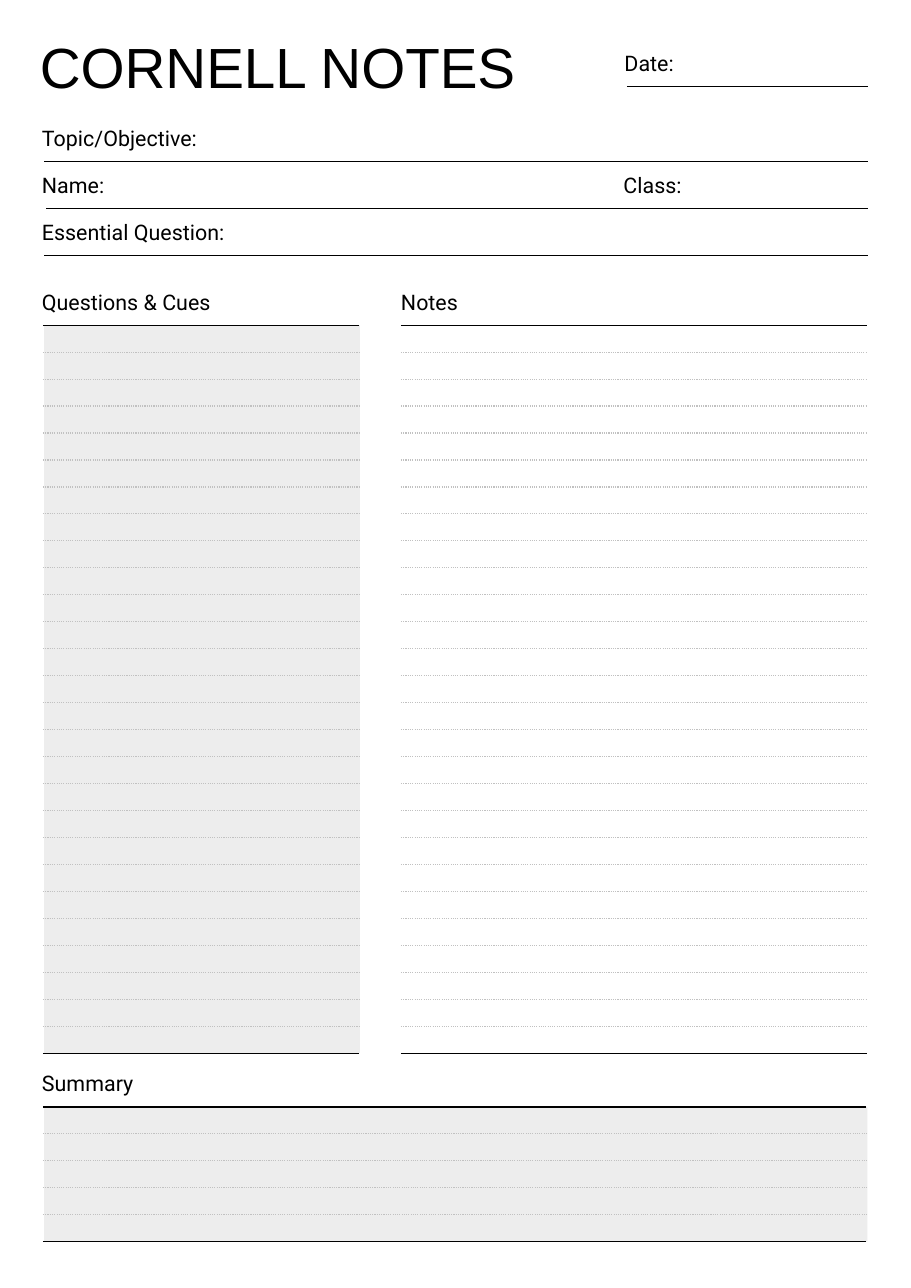
from collections import namedtuple

from lxml.etree import SubElement
from pptx import Presentation
from pptx.dml.color import RGBColor
from pptx.enum.dml import MSO_LINE
from pptx.enum.shapes import MSO_CONNECTOR, MSO_SHAPE
from pptx.enum.text import MSO_AUTO_SIZE
from pptx.oxml.ns import qn
from pptx.util import Pt

BLACK = RGBColor(0x00, 0x00, 0x00)
DOT_GREY = RGBColor(0xC1, 0xC1, 0xC1)
PANEL_GREY = RGBColor(0xED, 0xED, 0xED)

ROW_HEIGHT = 17.62
LABEL_RISE = 23.8
LABEL_HEIGHT = 17.3
FIELD_STEP = 30.6

Box = namedtuple("Box", "left top width height")


def add_text(shapes, text, box, font="Roboto", size=14, color=BLACK):
    text_box = shapes.add_textbox(*(Pt(length) for length in box))
    frame = text_box.text_frame
    frame.word_wrap = True
    frame.auto_size = MSO_AUTO_SIZE.SHAPE_TO_FIT_TEXT
    frame.margin_left = frame.margin_right = 0
    frame.margin_top = frame.margin_bottom = 0
    span = frame.paragraphs[0].add_run()
    span.text = text
    span.font.name = font
    span.font.size = Pt(size)
    span.font.color.rgb = color


def add_label(shapes, text, left, rule_top, width):
    """Place a label so that it stands above the rule at rule_top."""
    add_text(shapes, text, Box(left, rule_top - LABEL_RISE, width, LABEL_HEIGHT))


def add_rule(shapes, left, right, top, dotted=False):
    rule = shapes.add_connector(
        MSO_CONNECTOR.STRAIGHT, Pt(left), Pt(top), Pt(right), Pt(top))
    rule.line.width = Pt(0.75)
    rule.line.color.rgb = DOT_GREY if dotted else BLACK
    if dotted:
        rule.line.dash_style = MSO_LINE.ROUND_DOT
    SubElement(rule._element.spPr, qn("a:effectLst"))


def add_title(page, box):
    add_text(page.shapes, "CORNELL NOTES", box, font="Arial", size=37)


def add_date(page, box):
    shapes = page.shapes.add_group_shape().shapes
    bottom = box.top + box.height
    add_label(shapes, "Date:", box.left, bottom, box.width)
    add_rule(shapes, box.left + 1.5, box.left + box.width, bottom)


def add_fields(page, box):
    shapes = page.shapes.add_group_shape().shapes
    right = box.left + box.width
    fields = [("Topic/Objective:", 1.4), ("Name:", 2.8), ("Essential Question:", 1.4)]
    for row, (label, indent) in enumerate(fields):
        rule_top = box.top + LABEL_RISE + row * FIELD_STEP
        add_label(shapes, label, box.left, rule_top, 350)
        add_rule(shapes, box.left + indent, right, rule_top)
    add_label(shapes, "Class:", box.left + 380.1,
              box.top + LABEL_RISE + FIELD_STEP, 159)


def add_ruled_panel(page, heading, box, rows, shaded=False):
    """Draw a heading over rows parted by dotted rules, closed by solid ones."""
    shapes = page.shapes.add_group_shape().shapes
    shift = 0
    if shaded:
        shift = -0.7
        panel = shapes.add_shape(
            MSO_SHAPE.RECTANGLE, *(Pt(length) for length in box))
        panel.shadow.inherit = False
        panel.fill.solid()
        panel.fill.fore_color.rgb = PANEL_GREY
        panel.line.fill.background()
    add_label(shapes, heading, box.left + 2 * shift, box.top, box.width)
    left = box.left + shift
    for row in range(rows + 1):
        add_rule(shapes, left, left + box.width, box.top + row * ROW_HEIGHT,
                 dotted=0 < row < rows)


def main():
    deck = Presentation()
    deck.slide_width = Pt(595.44)
    deck.slide_height = Pt(841.68)
    page = deck.slides.add_slide(deck.slide_layouts[6])

    add_title(page, Box(26, 21, 353, 44.6))
    add_date(page, Box(408.2, 32.4, 159.2, 24.4))
    add_fields(page, Box(27.4, 82, 540, 85))

    panels = [
        ("Summary", 28.8, 723.4, 538.2, 5, True),
        ("Notes", 262.1, 212.5, 304.8, 27, False),
        ("Questions & Cues", 28.8, 212.5, 206.4, 27, True),
    ]
    for heading, left, top, width, rows, shaded in panels:
        box = Box(left, top, width, rows * ROW_HEIGHT)
        add_ruled_panel(page, heading, box, rows, shaded=shaded)

    deck.save("out.pptx")


if __name__ == "__main__":
    main()
